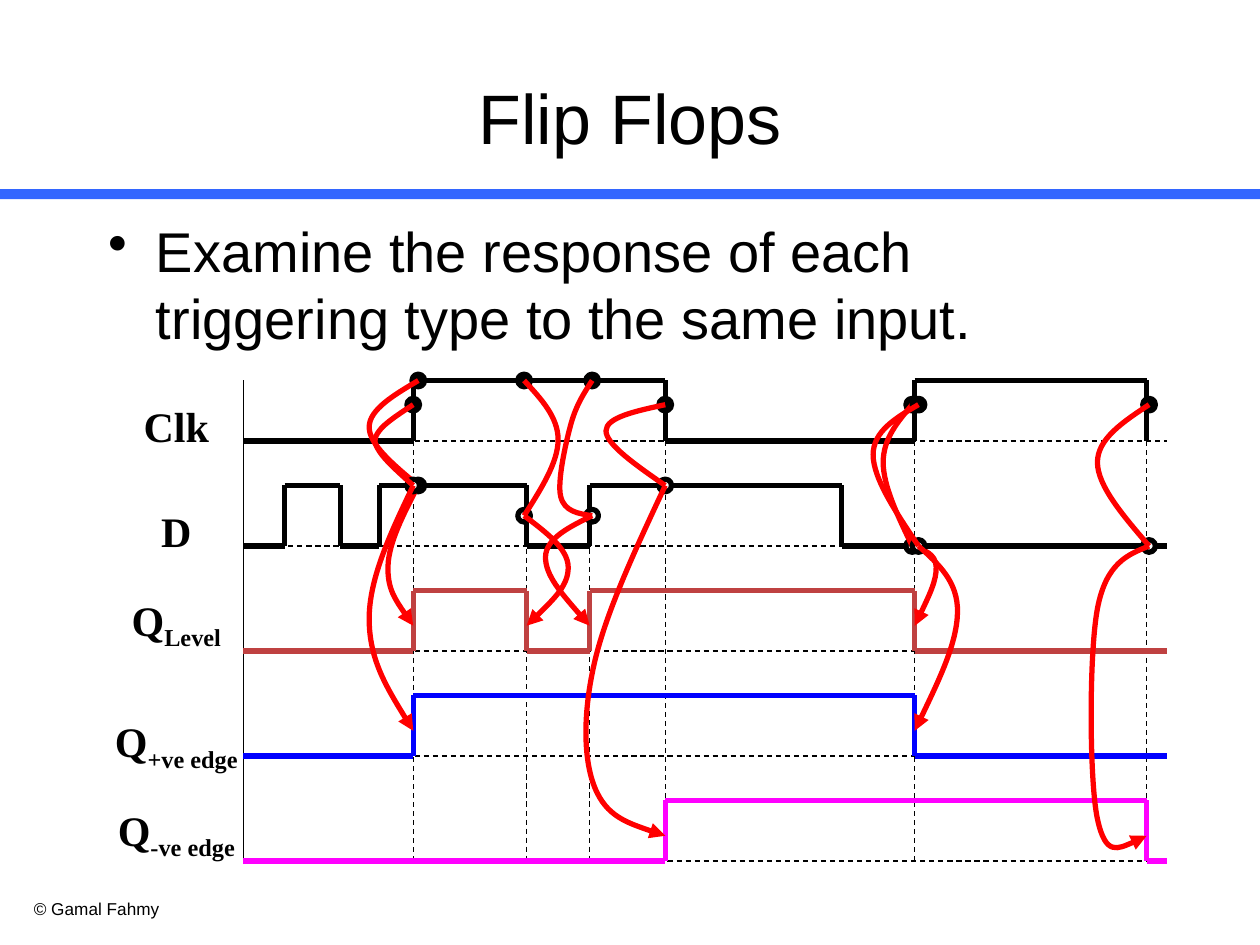
from itertools import pairwise

from lxml.etree import SubElement
from pptx import Presentation
from pptx.dml.color import RGBColor
from pptx.enum.dml import MSO_LINE
from pptx.enum.shapes import MSO_CONNECTOR, MSO_SHAPE
from pptx.enum.text import MSO_ANCHOR, PP_ALIGN
from pptx.oxml.ns import qn
from pptx.util import Inches, Pt

THEME = {
    "black": "000000", "white": "FFFFFF", "bar": "3366FF", "link": "FF0000",
    "level": "BF4141", "positive": "0000FF", "negative": "FF00FF",
    "sans": "Arial", "serif": "Times New Roman",
    "title": 40, "body": 32, "label": 24, "footer": 9.8, "thin": 0.75, "thick": 3,
}

# Diagram grid: one row per signal, time runs from START to END
START, END = 1.93, 9.26
FIRST_BASE, PITCH, SWING = 3.5, 5 / 6, 0.48
BASES = [FIRST_BASE + row * PITCH for row in range(5)]
CLK, D, LEVEL, POSITIVE, NEGATIVE = BASES
RISE_1, FALL_1, RISE_2, FALL_2 = 3.28, 5.28, 7.26, 9.1
D_FALL, D_RISE = 4.18, 4.68
CLK_HIGH, CLK_EDGE = CLK - SWING, CLK - SWING * 0.6
D_HIGH, D_EDGE, D_LOW = D - SWING, D - SWING / 2, D
DOT, TIP_RISE, LABEL_CENTER, LABEL_WIDTH = 0.1, 0.2, 1.4, 1.4

# name, subscript, label rise above the base line, colour, edge times, last time
SIGNALS = [
    ("Clk", "", 0.37, "black", [RISE_1, FALL_1, RISE_2, FALL_2], FALL_2),
    ("D", "", 0.37, "black", [2.26, 2.7, 3.01, D_FALL, D_RISE, 6.68], END),
    ("Q", "Level", 0.5, "level", [RISE_1, D_FALL, D_RISE, RISE_2], END),
    ("Q", "+ve edge", 0.37, "positive", [RISE_1, RISE_2], END),
    ("Q", "-ve edge", 0.5, "negative", [FALL_1, FALL_2], END),
]
GUIDES = [(RISE_1, CLK), (FALL_1, CLK), (RISE_2, CLK), (FALL_2, CLK),
          (D_FALL, D_HIGH), (D_RISE, D_HIGH)]

# edge time, dot nudge, clock dot height, data dot height, output row,
# bends from clock to data, bends from data to output
TRIGGERS = [
    (RISE_1, 0.04, CLK_HIGH, D_HIGH, LEVEL, [(2.93, 3.39)], [(3.08, 4.49)]),
    (D_FALL, -0.02, CLK_HIGH, D_EDGE, LEVEL, [(4.43, 3.49)], [(4.51, 4.5)]),
    (D_RISE, 0.02, CLK_HIGH, D_EDGE, LEVEL,
     [(4.53, 3.37), (4.45, 3.94)], [(4.33, 4.42)]),
    (RISE_2, -0.02, CLK_EDGE, D_LOW, LEVEL, [(7.01, 3.67)], [(7.43, 4.5)]),
    (RISE_1, 0, CLK_EDGE, D_HIGH, POSITIVE,
     [(3.01, 3.42), (3.01, 3.58)], [(2.93, 4.91)]),
    (RISE_2, 0.03, CLK_EDGE, D_LOW, POSITIVE, [(6.93, 3.61)], [(7.6, 4.86)]),
    (FALL_1, 0, CLK_EDGE, D_HIGH, NEGATIVE,
     [(4.81, 3.42)], [(4.72, 5.25), (4.72, 6.25)]),
    (FALL_2, 0.02, CLK_EDGE, D_LOW, NEGATIVE,
     [(8.71, 3.67)], [(8.71, 4.83), (8.71, 6.5)]),
]


def color(name):
    return RGBColor.from_string(THEME[name])


def add_text(slide, box, text, size, font="sans", bold=False):
    shape = slide.shapes.add_textbox(*map(Inches, box))
    shape.text_frame.word_wrap = True
    paragraph = shape.text_frame.paragraphs[0]
    paragraph.add_run().text = text
    paragraph.font.name = THEME[font]
    paragraph.font.size = Pt(THEME[size])
    paragraph.font.bold = bold
    paragraph.font.color.rgb = color("black")
    return shape.text_frame, paragraph


def add_line(slide, start, end, line_color="black", width="thin", dashed=False):
    points = map(Inches, (*start, *end))
    connector = slide.shapes.add_connector(MSO_CONNECTOR.STRAIGHT, *points)
    connector.line.color.rgb = color(line_color)
    connector.line.width = Pt(THEME[width])
    if dashed:
        connector.line.dash_style = MSO_LINE.DASH
    SubElement(connector._element.spPr, qn("a:effectLst"))


def add_shape(slide, kind, box, fill):
    shape = slide.shapes.add_shape(kind, *map(Inches, box))
    shape.shadow.inherit = False
    shape.fill.solid()
    shape.fill.fore_color.rgb = color(fill)
    return shape


def add_dot(slide, center, fill):
    left, top = (value - DOT / 2 for value in center)
    dot = add_shape(slide, MSO_SHAPE.OVAL, (left, top, DOT, DOT), fill)
    dot.line.color.rgb = color("black")
    dot.line.width = Pt(THEME["thick"])


def shift(point, start, end, share):
    """Move a point by a share of the way from start to end."""
    return tuple(p + (e - s) * share for p, s, e in zip(point, start, end))


def bezier_points(knots):
    """Controls of a smooth curve: tangents run parallel to the neighbours' chord."""
    count = len(knots)
    points = [knots[0]]
    for index, (start, end) in enumerate(pairwise(knots)):
        first = last = None
        if index > 0:
            first = shift(start, knots[index - 1], end, 1 / 6)
        if index + 2 < count:
            last = shift(end, start, knots[index + 2], -1 / 6)
        first = first or shift(start, start, last, 1 / 2)
        last = last or shift(end, end, first, 1 / 2)
        points += [first, last, end]
    return points


def add_curve(slide, knots, arrow=False):
    """Build a freeform, then turn every three straight segments into one Bezier."""
    first, *rest = [(Inches(x), Inches(y)) for x, y in bezier_points(knots)]
    builder = slide.shapes.build_freeform(*first, scale=1.0)
    builder.add_line_segments(rest, close=False)
    curve = builder.convert_to_shape()
    curve.shadow.inherit = False
    curve.fill.background()
    curve.line.color.rgb = color("link")
    curve.line.width = Pt(THEME["thick"])
    path = curve._element.find(".//" + qn("a:path"))
    for index, segment in enumerate(path.findall(qn("a:lnTo"))):
        if index % 3 == 0:
            bezier = SubElement(path, qn("a:cubicBezTo"))
        bezier.append(segment[0])
        path.remove(segment)
    if arrow:
        SubElement(curve.line._get_or_add_ln(), qn("a:tailEnd"), type="triangle")


def add_wave(slide, base, edges, end, line_color):
    corners, now, other = [(START, base)], base, base - SWING
    for edge in edges:
        corners += [(edge, now), (edge, other)]
        now, other = other, now
    if end > edges[-1]:
        corners.append((end, now))
    for start, stop in pairwise(corners):
        add_line(slide, start, stop, line_color, "thick")


def add_label(slide, name, subscript, top):
    box = (LABEL_CENTER - LABEL_WIDTH / 2, top, LABEL_WIDTH, 0.5)
    _, paragraph = add_text(slide, box, name, "label", "serif", bold=True)
    paragraph.alignment = PP_ALIGN.CENTER
    if subscript:
        run = paragraph.add_run()
        run.text = subscript
        run._r.get_or_add_rPr().set("baseline", "-25000")


def main():
    presentation = Presentation()
    presentation.slide_width, presentation.slide_height = Inches(10), Inches(7.5)
    slide = presentation.slides.add_slide(presentation.slide_layouts[6])

    bar = add_shape(slide, MSO_SHAPE.RECTANGLE, (0, 1.5, 10, 0.08), "bar")
    bar.line.fill.background()
    add_text(slide, (0.17, 7.08, 2.17, 0.27), "© Gamal Fahmy", "footer")
    frame, paragraph = add_text(slide, (0.5, 0.3, 9, 1.25), "Flip Flops", "title")
    frame.vertical_anchor = MSO_ANCHOR.MIDDLE
    paragraph.alignment = PP_ALIGN.CENTER
    _, paragraph = add_text(
        slide, (0.76, 1.67, 8.5, 1.35),
        "Examine the response of each triggering type to the same input.", "body")
    paragraph.space_before = Pt(8)
    properties = paragraph._p.get_or_add_pPr()
    properties.set("marL", str(Inches(0.38)))
    properties.set("indent", str(-Inches(0.38)))
    bullet = SubElement(properties, qn("a:buChar"), char="•")
    properties.find(qn("a:defRPr")).addprevious(bullet)

    add_line(slide, (START, CLK_HIGH), (START, NEGATIVE))
    for x, top in GUIDES:
        add_line(slide, (x, top), (x, NEGATIVE), dashed=True)
    for base, (name, subscript, rise, line_color, edges, end) in zip(BASES, SIGNALS):
        add_line(slide, (START, base), (END, base), dashed=True)
        add_label(slide, name, subscript, base - rise)
        add_wave(slide, base, edges, end, line_color)
    for edge, nudge, clock_y, data_y, output, inward, outward in TRIGGERS:
        clock, data = (edge + nudge, clock_y), (edge + nudge, data_y)
        add_dot(slide, clock, "black")
        add_dot(slide, data, "white")
        add_curve(slide, [clock, *inward, data])
        add_curve(slide, [data, *outward, (edge, output - TIP_RISE)], arrow=True)
    presentation.save("out.pptx")


if __name__ == "__main__":
    main()
